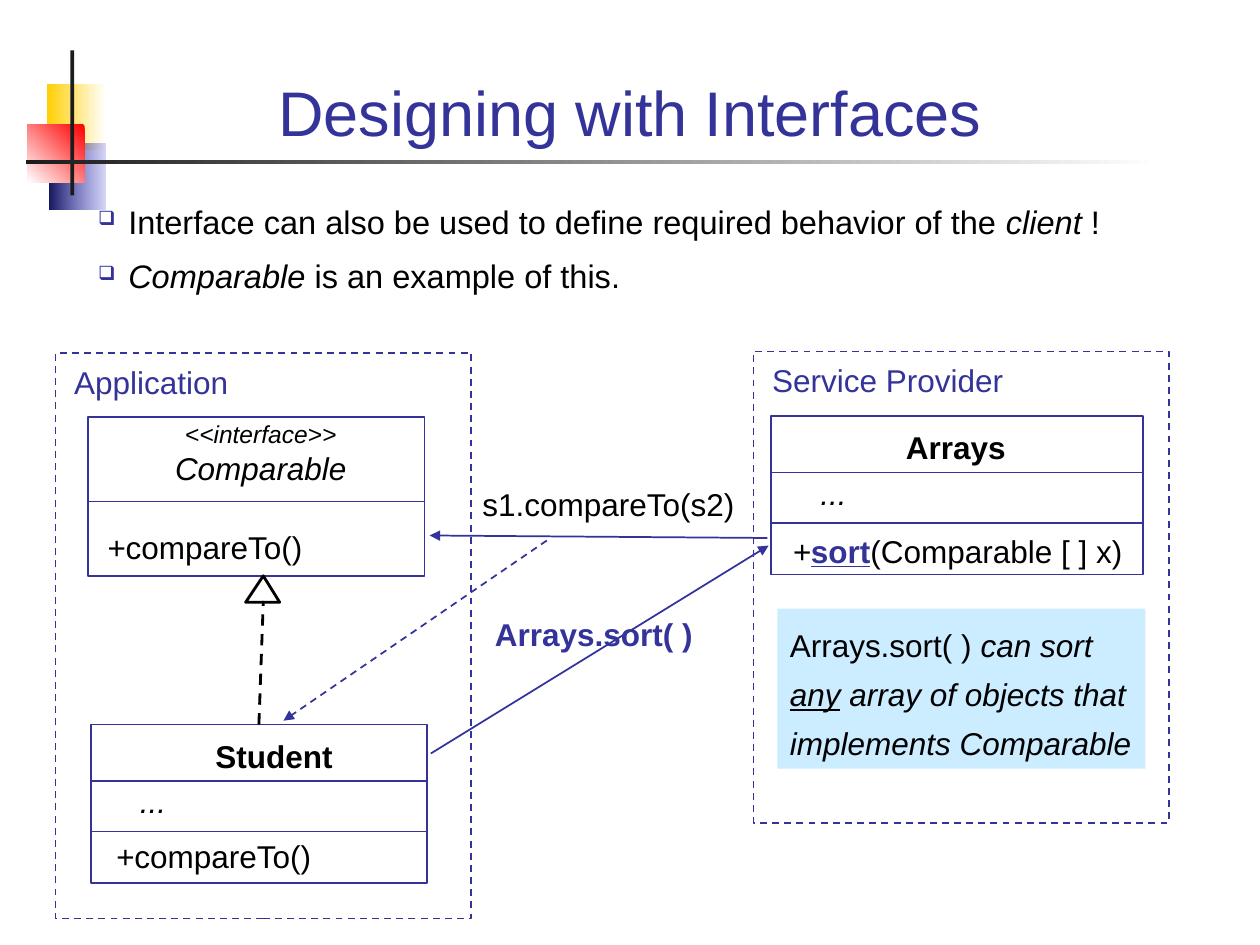
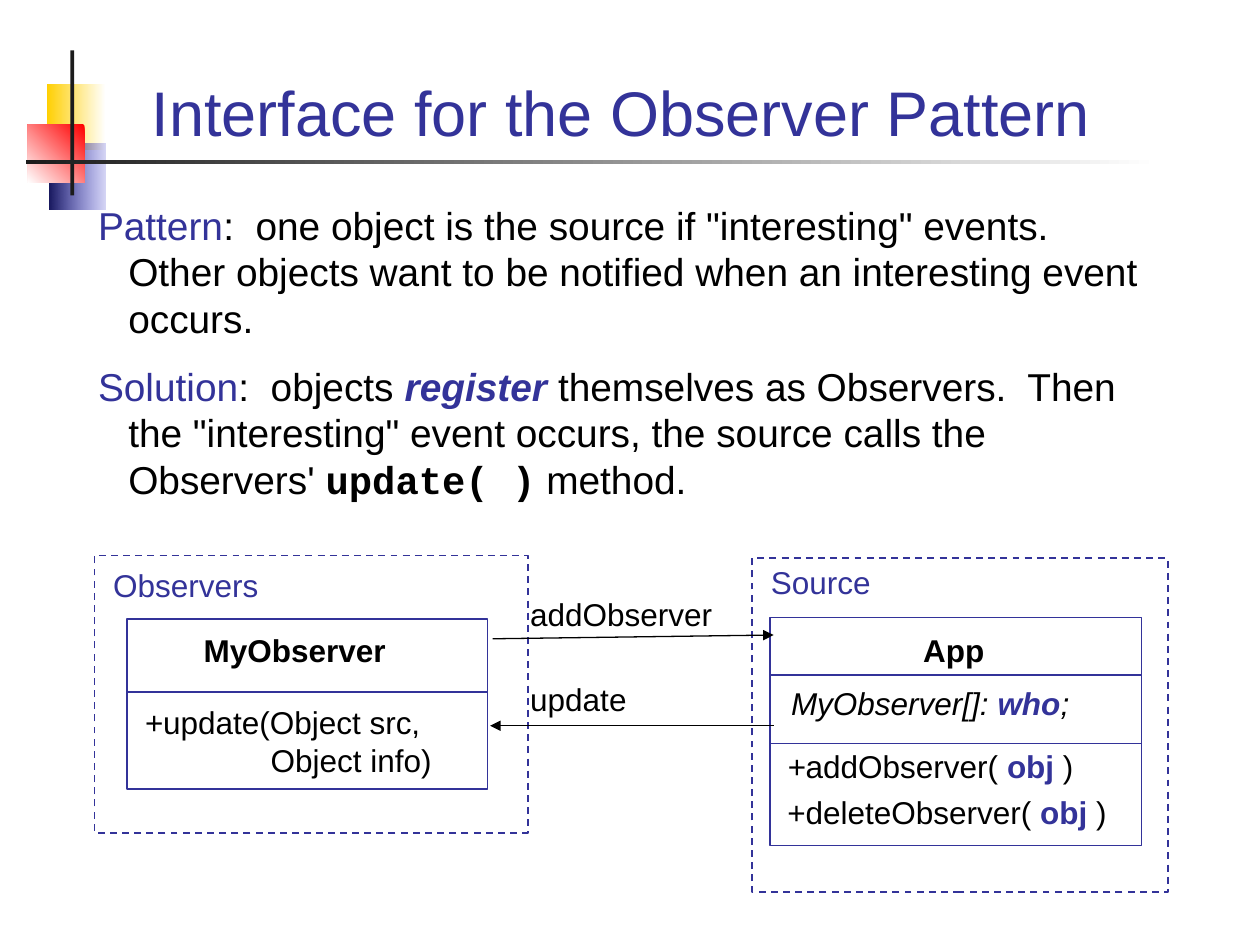
"""Build two slides on designing with interfaces and the Observer pattern."""
from dataclasses import dataclass

from lxml.etree import SubElement
from pptx import Presentation
from pptx.dml.color import RGBColor
from pptx.enum.dml import MSO_LINE
from pptx.enum.shapes import MSO_CONNECTOR, MSO_SHAPE
from pptx.enum.text import MSO_ANCHOR, MSO_AUTO_SIZE, PP_ALIGN
from pptx.oxml.ns import qn
from pptx.util import Emu, Pt

PX = 9144
SLACK = 6
INDIGO = "333399"
BLACK = "000000"
WHITE = "FFFFFF"
CHARCOAL = "1C1C1C"
PALE_BLUE = "CCECFF"


@dataclass(frozen=True)
class Span:
    text: str
    color: str = BLACK
    bold: bool = False
    italic: bool = False
    underline: bool = False
    size: float = 18
    font: str = "Arial"


@dataclass(frozen=True)
class Label:
    x: int
    y: int
    w: int
    h: int
    paragraphs: tuple
    align: PP_ALIGN = PP_ALIGN.LEFT
    wrap: bool = False
    space_before: float = 0
    line_spacing: float = 1.0
    hanging: int = 0
    bullet: str = ""
    tab: int = 0
    fill: str = ""


@dataclass(frozen=True)
class ClassBox:
    x: int
    y: int
    w: int
    h: int
    dividers: tuple


@dataclass(frozen=True)
class Panel:
    x: int
    y: int
    w: int
    h: int
    name: str
    name_drop: int = 3


@dataclass(frozen=True)
class Link:
    start: tuple
    end: tuple
    color: str = INDIGO
    weight: float = 1
    dashed: bool = False
    arrow: bool = True


@dataclass(frozen=True)
class Ornament:
    x: int
    y: int
    w: int
    h: int
    start: str
    end: str
    angle: int = 180
    start_opacity: int = 100


ORNAMENTS = (
    Ornament(37, 67, 47, 52, WHITE, "FFCF01"),
    Ornament(39, 114, 45, 52, "3333CC", "17175E", start_opacity=20),
    Ornament(22, 99, 45, 46, "FF0000", WHITE, angle=225),
    Ornament(56, 40, 3, 115, CHARCOAL, CHARCOAL),
    Ornament(21, 127, 899, 3, WHITE, CHARCOAL),
)


def rgb(value: str) -> RGBColor:
    """Turn a hex string into a colour."""
    return RGBColor.from_string(value)


def px(*lengths: int) -> list:
    """Turn px lengths into EMU."""
    return [Emu(length * PX) for length in lengths]


def style_line(line, color: str, weight: float, dashed: bool = False) -> None:
    """Set colour, weight and dash of a line."""
    line.color.rgb = rgb(color)
    line.width = Pt(weight)
    if dashed:
        line.dash_style = MSO_LINE.DASH


def add_ornament(slide, ornament: Ornament) -> None:
    """Draw one borderless block of the corner decoration."""
    block = slide.shapes.add_shape(
        MSO_SHAPE.RECTANGLE, *px(ornament.x, ornament.y, ornament.w, ornament.h))
    block.shadow.inherit = False
    block.line.fill.background()
    if ornament.start == ornament.end:
        block.fill.solid()
        block.fill.fore_color.rgb = rgb(ornament.start)
        return
    block.fill.gradient()
    block.fill.gradient_angle = ornament.angle
    for stop, color, position in zip(
            block.fill.gradient_stops, (ornament.start, ornament.end), (0, 1)):
        stop.color.rgb = rgb(color)
        stop.position = position
    if ornament.start_opacity < 100:
        start_color = next(block.element.spPr.iter(qn("a:srgbClr")))
        SubElement(start_color, qn("a:alpha"), val=str(ornament.start_opacity * 1000))


def add_span(paragraph, span: Span) -> None:
    """Add a span of text, with a line break at each newline."""
    for index, piece in enumerate(span.text.split("\n")):
        if index:
            paragraph.add_line_break()
        if not piece:
            continue
        run = paragraph.add_run()
        run.text = piece
        font = run.font
        font.name, font.size, font.color.rgb = span.font, Pt(span.size), rgb(span.color)
        font.bold, font.italic, font.underline = span.bold, span.italic, span.underline


def add_bullet(properties, mark: str) -> None:
    """Give paragraph properties a small indigo bullet."""
    SubElement(SubElement(properties, qn("a:buClr")), qn("a:srgbClr"), val=INDIGO)
    SubElement(properties, qn("a:buSzPct"), val="60000")
    SubElement(properties, qn("a:buChar"), char=mark)


def add_label(slide, label: Label) -> None:
    """Draw a text box with all its paragraphs."""
    box = slide.shapes.add_textbox(*px(label.x, label.y, label.w, label.h))
    if label.fill:
        box.fill.solid()
        box.fill.fore_color.rgb = rgb(label.fill)
    frame = box.text_frame
    frame.word_wrap = label.wrap
    frame.auto_size = MSO_AUTO_SIZE.SHAPE_TO_FIT_TEXT
    for index, spans in enumerate(label.paragraphs):
        paragraph = frame.add_paragraph() if index else frame.paragraphs[0]
        properties = paragraph._p.get_or_add_pPr()
        if label.hanging:
            properties.set("marL", str(label.hanging * PX))
            properties.set("indent", str(-label.hanging * PX))
        if label.bullet:
            add_bullet(properties, label.bullet)
        if label.tab:
            SubElement(SubElement(properties, qn("a:tabLst")), qn("a:tab"),
                       pos=str(label.tab * PX), algn="l")
        paragraph.alignment = label.align
        paragraph.line_spacing = label.line_spacing
        if index:
            paragraph.space_before = Pt(label.space_before)
        for span in spans:
            add_span(paragraph, span)


def add_link(slide, link: Link):
    """Draw a straight connector, with an arrowhead if asked."""
    connector = slide.shapes.add_connector(
        MSO_CONNECTOR.STRAIGHT, *px(*link.start, *link.end))
    style_line(connector.line, link.color, link.weight, link.dashed)
    properties = connector.element.spPr
    if link.arrow:
        SubElement(properties.find(qn("a:ln")), qn("a:tailEnd"), type="triangle")
    SubElement(properties, qn("a:effectLst"))
    return connector


def add_frame(slide, area: ClassBox | Panel, dashed: bool = False):
    """Draw an unfilled indigo rectangle."""
    frame = slide.shapes.add_shape(
        MSO_SHAPE.RECTANGLE, *px(area.x, area.y, area.w, area.h))
    frame.shadow.inherit = False
    frame.fill.background()
    style_line(frame.line, INDIGO, 1, dashed)
    return frame


def add_class_box(slide, box: ClassBox):
    """Draw a class outline with its compartment dividers."""
    outline = add_frame(slide, box)
    for y in box.dividers:
        add_link(slide, Link((box.x, y), (box.x + box.w, y), arrow=False))
    return outline


def add_panel(slide, panel: Panel) -> None:
    """Draw a dashed panel with its name."""
    add_frame(slide, panel, dashed=True)
    add_label(slide, Label(panel.x + 5, panel.y + panel.name_drop, 224, 40,
                           ((Span(panel.name, INDIGO),),), wrap=True))


def centred(x: int, y: int, w: int, *spans: Span, h: int = 40) -> Label:
    """Describe a centred one-paragraph label with slack on both sides."""
    return Label(x - SLACK, y, w + 2 * SLACK, h, (spans,), PP_ALIGN.CENTER)


def add_titled_slide(deck, title: str):
    """Add a slide with the shared decoration and title style."""
    slide = deck.slides.add_slide(deck.slide_layouts[5])
    for ornament in ORNAMENTS:
        add_ornament(slide, ornament)
    heading = slide.shapes.title
    heading.left, heading.top, heading.width, heading.height = px(67, 28, 866, 95)
    frame = heading.text_frame
    frame.vertical_anchor = MSO_ANCHOR.BOTTOM
    frame.auto_size = MSO_AUTO_SIZE.NONE
    frame.paragraphs[0].alignment = PP_ALIGN.CENTER
    add_span(frame.paragraphs[0], Span(title, INDIGO, size=36))
    return slide


def build_designing(deck) -> None:
    """Build the slide on required behavior of the client."""
    slide = add_titled_slide(deck, "Designing with Interfaces")
    size = 18.6
    add_label(slide, Label(68, 155, 866, 102, (
        (Span("Interface can also be used to define required behavior of the ", size=size),
         Span("client ", italic=True, size=size), Span("!", size=size)),
        (Span("Comparable", italic=True, size=size),
         Span(" is an example of this.", size=size)),
    ), wrap=True, space_before=9, hanging=24, bullet="❑"))
    add_panel(slide, Panel(44, 280, 330, 449, "Application"))
    add_panel(slide, Panel(598, 279, 330, 374, "Service Provider"))
    add_class_box(slide, ClassBox(70, 331, 267, 126, (398,)))
    add_class_box(slide, ClassBox(612, 330, 295, 126, (375, 415)))
    student = add_class_box(slide, ClassBox(72, 575, 267, 126, (620, 660)))

    plus, dots = Span("+", italic=True), Span("...", italic=True)
    compare_to = Span("compareTo()")
    for label in (
        centred(129, 328, 156, Span("<<interface>>\n", italic=True, size=14),
                Span("Comparable", italic=True), h=64),
        centred(74, 414, 177, plus, compare_to),
        centred(161, 580, 113, Span("Student", bold=True)),
        centred(101, 616, 41, dots),
        centred(81, 659, 177, plus, compare_to),
        centred(709, 335, 99, Span("Arrays", bold=True)),
        centred(641, 371, 41, dots),
        centred(619, 417, 282, plus, Span("sort", INDIGO, bold=True, underline=True),
                Span("(Comparable [ ] x)")),
        Label(383, 483, 190, 40, ((Span("Arrays.sort( )", INDIGO, bold=True),),),
              wrap=True),
        Label(373, 380, 235, 40, ((Span("s1.compareTo(s2)"),),), wrap=True),
        Label(617, 483, 292, 127, ((
            Span("Arrays.sort( )"), Span(" can sort ", italic=True),
            Span("any", italic=True, underline=True),
            Span(" array of objects that implements Comparable", italic=True)),),
            wrap=True, line_spacing=1.3, fill=PALE_BLUE),
    ):
        add_label(slide, label)

    realization = add_link(slide, Link((207, 575), (209, 477), BLACK, 1.62, True, False))
    realization.begin_connect(student, 0)
    outline = slide.shapes.build_freeform(195, 478, scale=float(PX))
    outline.add_line_segments([(222, 478), (209, 457)], close=True)
    arrowhead = outline.convert_to_shape()
    arrowhead.shadow.inherit = False
    arrowhead.fill.background()
    style_line(arrowhead.line, BLACK, 1.62)
    add_link(slide, Link((342, 598), (610, 433)))
    add_link(slide, Link((609, 427), (341, 425)))
    add_link(slide, Link((434, 429), (225, 572), dashed=True))


def build_observer(deck) -> None:
    """Build the slide on the Observer pattern."""
    slide = add_titled_slide(deck, "Interface for the Observer Pattern ")
    size = 22.2
    add_label(slide, Label(68, 155, 866, 265, (
        (Span("Pattern", INDIGO, size=size),
         Span(":  one object is the source if \"interesting\" events.  Other objects want "
              "to be notified when an interesting event occurs.", size=size)),
        (Span("Solution", INDIGO, size=size), Span(":  objects ", size=size),
         Span("register ", INDIGO, bold=True, italic=True, size=size),
         Span("themselves as Observers.  Then the \"interesting\" event occurs, "
              "the source calls the Observers' ", size=size),
         Span("update( )", bold=True, size=size, font="Courier New"),
         Span(" method.", size=size)),
    ), wrap=True, space_before=12, hanging=24))
    add_panel(slide, Panel(75, 441, 344, 220, "Observers"))
    add_panel(slide, Panel(597, 443, 330, 265, "Source", name_drop=-1))
    add_class_box(slide, ClassBox(101, 491, 286, 135, (549,)))
    add_class_box(slide, ClassBox(611, 490, 295, 181, (536, 590)))

    plus, obj, close = Span("+", italic=True), Span("obj", INDIGO, bold=True), Span(" )")
    for label in (
        centred(152, 496, 164, Span("MyObserver", bold=True)),
        Label(105, 553, 270, 70, ((plus, Span("update(Object src, \n\tObject info)")),),
              wrap=True, tab=100),
        centred(723, 496, 68, Span("App", bold=True)),
        Label(618, 538, 260, 40, ((
            Span("MyObserver[]: ", italic=True),
            Span("who", INDIGO, bold=True, italic=True), Span(";", italic=True)),),
            wrap=True),
        Label(615, 588, 290, 77, (
            (plus, Span("addObserver( "), obj, close),
            (Span("+deleteObserver( "), obj, close)), wrap=True, space_before=4.5),
        Label(411, 467, 177, 40, ((Span("addObserver"),),), wrap=True),
        Label(411, 535, 177, 40, ((Span("update"),),), wrap=True),
    ):
        add_label(slide, label)
    add_link(slide, Link((391, 507), (614, 504), BLACK, 0.75))
    add_link(slide, Link((614, 576), (389, 576), BLACK, 0.75))


def main() -> None:
    """Build and save the deck."""
    deck = Presentation()
    deck.slide_width, deck.slide_height = px(1000, 750)
    build_designing(deck)
    build_observer(deck)
    deck.save("out.pptx")


if __name__ == "__main__":
    main()
